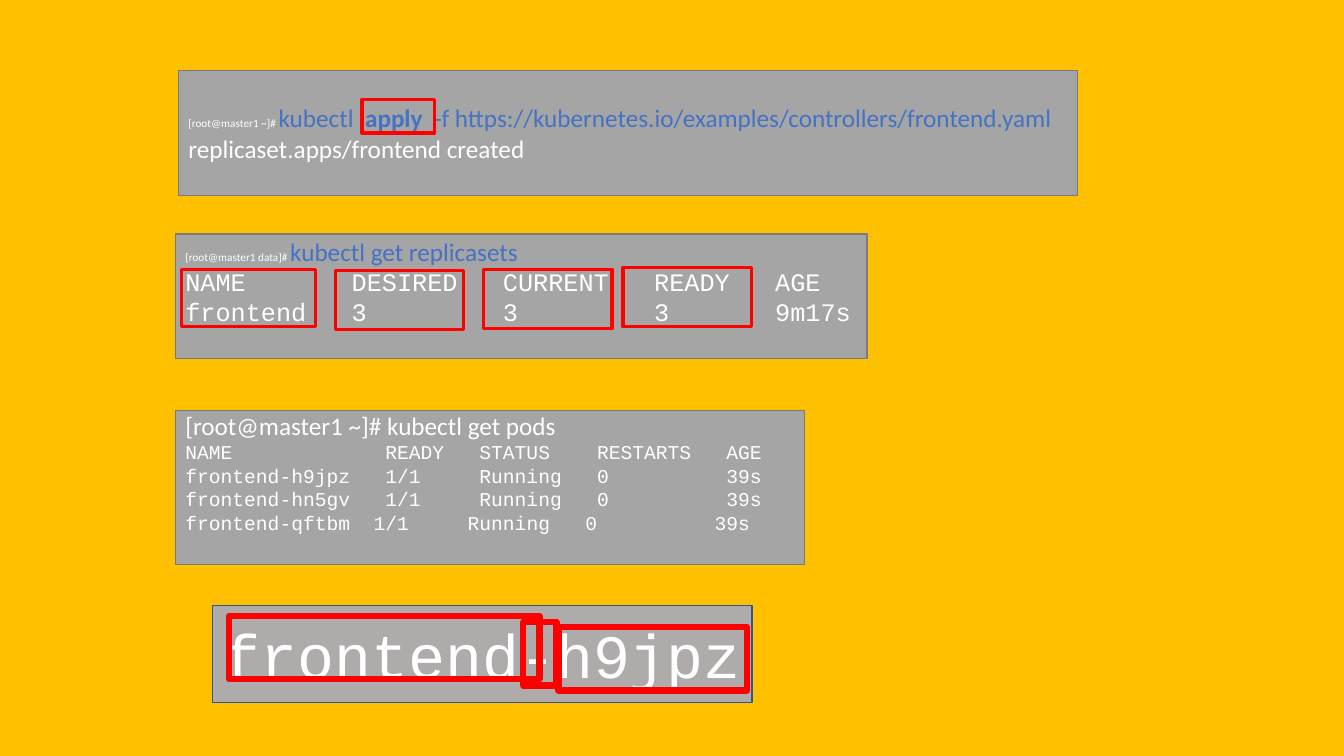
"""Build a slide showing ReplicaSet commands, their output and highlights."""
from lxml import etree
from pptx import Presentation
from pptx.dml.color import RGBColor
from pptx.enum.shapes import MSO_SHAPE
from pptx.enum.text import MSO_ANCHOR, PP_ALIGN
from pptx.oxml.ns import qn
from pptx.util import Inches, Pt

RECTANGLE = MSO_SHAPE.RECTANGLE
MIDDLE = MSO_ANCHOR.MIDDLE
LEFT = PP_ALIGN.LEFT
CENTER = PP_ALIGN.CENTER

SANS = "Calibri"
MONO = "Courier New"
WHITE = "FFFFFF"
BLUE = "4472C4"
RED = "FF0000"
MONO_ADVANCE = 0.6

APPLY_LINES = [
    [("[root@master1 ~]# ", 8, WHITE, False), ("kubectl  ", 18, BLUE, False),
     ("apply", 18, BLUE, True),
     ("  -f https://kubernetes.io/examples/controllers/frontend.yaml", 18, BLUE, False)],
    [("replicaset.apps/frontend created", 18, WHITE, False)],
]
REPLICASETS_PROMPT = [("[root@master1 data]# ", 8, WHITE, False),
                      ("kubectl get replicasets", 18, BLUE, False)]
REPLICASETS_ROWS = [
    (("NAME", "DESIRED", "CURRENT", "READY", "AGE"), (11, 21, 31, 39)),
    (("frontend", "3", "3", "3", "9m17s"), (11, 21, 31, 39)),
]
PODS_PROMPT = [("[root@master1 ~]# kubectl get pods", 18, WHITE, False)]
PODS_COLUMNS = (17, 25, 35, 46)
PODS_ROWS = [
    (("NAME", "READY", "STATUS", "RESTARTS", "AGE"), PODS_COLUMNS),
    (("frontend-h9jpz", "1/1", "Running", "0", "39s"), PODS_COLUMNS),
    (("frontend-hn5gv", "1/1", "Running", "0", "39s"), PODS_COLUMNS),
    (("frontend-qftbm", "1/1", "Running", "0", "39s"), (16, 24, 34, 45)),
]
OUTPUT_FRAMES = [
    (3.59, 0.99, 0.72, 0.33),
    (1.8, 2.67, 1.33, 0.57),
    (3.33, 2.68, 1.27, 0.59),
    (4.8, 2.67, 1.27, 0.59),
    (6.18, 2.65, 1.27, 0.59),
]
POD_NAME_FRAMES = [
    (2.27, 6.11, 3.08, 0.63),
    (5.19, 6.17, 0.33, 0.63),
    (5.54, 6.22, 1.87, 0.63),
]


def color(value):
    """Return the RGB colour for a hex string."""
    return RGBColor.from_string(value)


def add_rectangle(slide, box, line, width):
    """Add a rectangle without shadow, outlined in the given colour."""
    shape = slide.shapes.add_shape(RECTANGLE, *map(Inches, box))
    shape.shadow.inherit = False
    shape.line.color.rgb = color(line)
    shape.line.width = Pt(width)
    return shape


def add_frame(slide, box, width):
    """Add an unfilled red highlight frame."""
    add_rectangle(slide, box, RED, width).fill.background()


def add_panel(slide, box, fill="A5A5A5", line="7A7A7A", bottom=0.05):
    """Add a filled panel and return its text frame."""
    shape = add_rectangle(slide, box, line, 1)
    shape.fill.solid()
    shape.fill.fore_color.rgb = color(fill)
    frame = shape.text_frame
    frame.word_wrap = True
    frame.vertical_anchor = MIDDLE
    frame.margin_bottom = Inches(bottom)
    return frame


def add_paragraph(frame, alignment=LEFT):
    """Return the first paragraph while it is unused, otherwise a new one."""
    first = frame.paragraphs[0]
    paragraph = frame.add_paragraph() if first.runs else first
    paragraph.alignment = alignment
    return paragraph


def add_run(paragraph, text, size, value=WHITE, bold=False, name=SANS):
    """Add one formatted run to a paragraph."""
    run = paragraph.add_run()
    run.text = text
    run.font.size = Pt(size)
    run.font.name = name
    run.font.bold = bold
    run.font.color.rgb = color(value)


def add_line(frame, runs):
    """Add a left-aligned line made of several runs."""
    paragraph = add_paragraph(frame)
    for run in runs:
        add_run(paragraph, *run)


def add_output(frame, rows, size):
    """Add monospaced rows whose columns start at given character positions."""
    for cells, columns in rows:
        paragraph = add_paragraph(frame)
        tabs = etree.SubElement(paragraph._p.get_or_add_pPr(), qn("a:tabLst"))
        for column in columns:
            position = Pt(column * size * MONO_ADVANCE)
            etree.SubElement(tabs, qn("a:tab"), pos=str(position), algn="l")
        add_run(paragraph, "\t".join(cells), size, name=MONO)


def main():
    """Build and save the slide."""
    presentation = Presentation()
    presentation.slide_width = Inches(13.33)
    presentation.slide_height = Inches(7.5)
    slide = presentation.slides.add_slide(presentation.slide_layouts[6])
    slide.background.fill.solid()
    slide.background.fill.fore_color.rgb = color("FFC000")

    pods = add_panel(slide, (1.74, 4.07, 6.24, 1.53), bottom=0.35)
    add_line(pods, PODS_PROMPT)
    add_output(pods, PODS_ROWS, 14)

    apply_panel = add_panel(slide, (1.77, 0.7, 8.92, 1.24))
    for runs in APPLY_LINES:
        add_line(apply_panel, runs)

    replicasets = add_panel(slide, (1.74, 2.32, 6.86, 1.24), bottom=0.35)
    add_line(replicasets, REPLICASETS_PROMPT)
    add_output(replicasets, REPLICASETS_ROWS, 18)

    for box in OUTPUT_FRAMES:
        add_frame(slide, box, 2.25)

    pod_name = add_panel(slide, (2.11, 6.01, 5.35, 0.96), "AFABAB", "325491")
    add_run(add_paragraph(pod_name, CENTER), "frontend-h9jpz", 44, name=MONO)
    for box in POD_NAME_FRAMES:
        add_frame(slide, box, 4.5)

    presentation.save("out.pptx")


if __name__ == "__main__":
    main()
